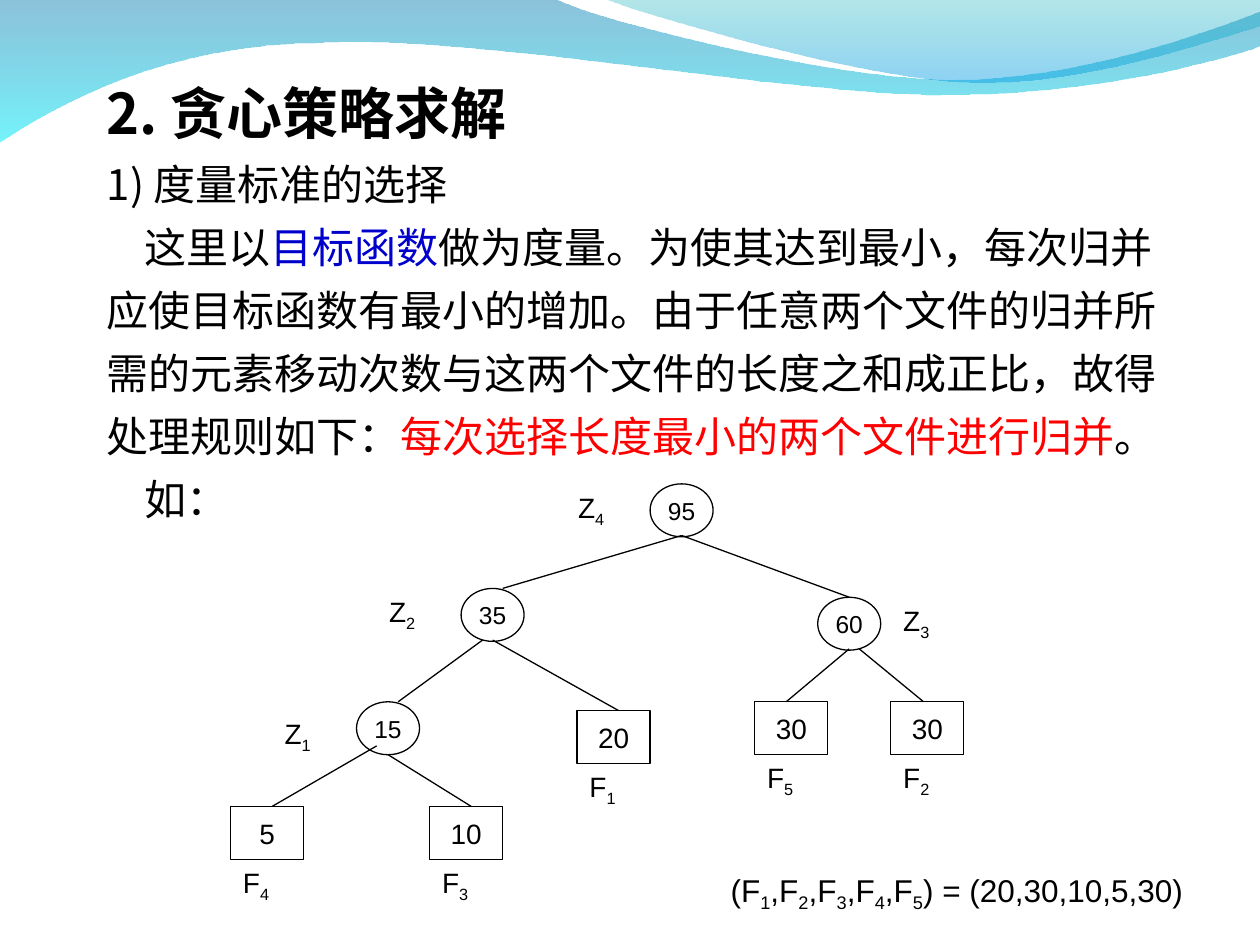
from lxml import etree
from pptx import Presentation
from pptx.dml.color import RGBColor
from pptx.enum import shapes, text
from pptx.oxml.ns import qn
from pptx.util import Inches, Pt

COLORS = {
    "black": "000000", "white": "FFFFFF", "blue": "0000CC", "red": "FF0000",
    "wave_top": "0079AF", "wave_bottom": "00EBF8",
    "crest_top": "00ADB6", "crest_bottom": "009BE5",
}
CJK = "Noto Sans CJK SC"
LATIN = "Arial"

# Outlines: one point is a straight step, three points are a Bezier curve.
WAVE = [
    [(0, -0.01)], [(4.4, -0.01)],
    [(4.76, 0.17), (6.64, 0.63), (7.58, 0.63)],
    [(8.53, 0.63), (9.58, 0.26), (10, 0.09)],
    [(10.01, 0.36)],
    [(9.83, 0.44), (8.7, 0.76), (7.46, 0.75)],
    [(6.22, 0.75), (3.82, 0.28), (2.57, 0.34)],
    [(1.29, 0.35), (0.46, 0.83), (-0.01, 1.13)],
]
CREST = [
    [(4.79, -0.01)],
    [(5.09, 0.11), (6.82, 0.62), (7.69, 0.65)],
    [(8.56, 0.69), (9.61, 0.32), (10, 0.21)],
    [(10, 0)],
]

# Value, left, top, label, label left, label top
MERGES = [
    ("95", 5.16, 3.84, "Z_4", 4.49, 3.84),
    ("35", 3.66, 4.67, "Z_2", 2.99, 4.67),
    ("60", 6.49, 4.74, "Z_3", 7.07, 4.74),
    ("15", 2.83, 5.57, "Z_1", 2.16, 5.64),
]
# Value, left, top, label
FILES = [
    ("5", 1.83, 6.4, "F_4"),
    ("10", 3.41, 6.4, "F_3"),
    ("20", 4.58, 5.64, "F_1"),
    ("30", 5.99, 5.57, "F_5"),
    ("30", 7.07, 5.57, "F_2"),
]
EDGES = [
    (5.41, 4.25, 3.99, 4.67), (5.41, 4.25, 6.74, 4.74),
    (3.83, 5.08, 3.16, 5.57), (3.91, 5.08, 4.91, 5.64),
    (6.74, 5.15, 6.24, 5.57), (6.82, 5.15, 7.33, 5.57),
    (2.99, 5.92, 2.16, 6.4), (3.08, 5.99, 3.74, 6.4),
]


def rgb(name):
    return RGBColor.from_string(COLORS[name])


def write(paragraph, content, size=24, font=CJK, color="black", bold=False):
    """Add text to a paragraph; the character after each "_" is a subscript."""
    first, *rest = content.split("_")
    pieces = [(first, False)]
    for part in rest:
        pieces += [(part[0], True), (part[1:], False)]
    for piece, subscript in pieces:
        if not piece:
            continue
        run = paragraph.add_run()
        run.text = piece
        run.font.size = Pt(size)
        run.font.bold = bold
        run.font.color.rgb = rgb(color)
        run.font.name = font
        properties = run.font._element
        etree.SubElement(properties, qn("a:ea")).set("typeface", font)
        if subscript:
            properties.set("baseline", "-25000")


def bend(shape, steps):
    """Turn the straight steps of a freeform that have three points into curves."""
    lines = list(shape._element.iter(qn("a:lnTo")))
    for line, step in zip(lines, steps):
        if len(step) == 1:
            continue
        curve = etree.Element(qn("a:cubicBezTo"))
        for x, y in step:
            point = etree.SubElement(curve, qn("a:pt"))
            point.set("x", str(Inches(x) - shape.left))
            point.set("y", str(Inches(y) - shape.top))
        line.getparent().replace(line, curve)


class SlideBuilder:
    """Holds the style and the current slide."""

    line_width = Pt(0.75)

    def __init__(self, slide):
        self.slide = slide

    def wave(self, outline, stops):
        """Add a translucent band; stops are (color, opacity %)."""
        start, *corners = [tuple(map(Inches, step[-1])) for step in outline]
        builder = self.slide.shapes.build_freeform(*start, scale=1.0)
        builder.add_line_segments(corners, close=True)
        shape = builder.convert_to_shape()
        bend(shape, outline[1:])
        shape.shadow.inherit = False
        shape.line.fill.background()
        shape.fill.gradient()
        shape.fill.gradient_angle = 270
        for stop, position, (color, opacity) in zip(shape.fill.gradient_stops, (0, 1), stops):
            stop.position = position
            stop.color.rgb = rgb(color)
            rgb_element = stop._gs.find(qn("a:srgbClr"))
            etree.SubElement(rgb_element, qn("a:alpha")).set("val", str(opacity * 1000))

    def text_box(self, left, top, width, height):
        box = self.slide.shapes.add_textbox(*map(Inches, (left, top, width, height)))
        box.text_frame.word_wrap = True
        return box.text_frame

    def body(self, heading, paragraphs, left, top, width, height):
        """Each paragraph is a first-line indent and a list of (text, color)."""
        frame = self.text_box(left, top, width, height)
        paragraph = frame.paragraphs[0]
        paragraph.line_spacing = Pt(48)
        write(paragraph, heading, size=32, bold=True)
        for indent, pieces in paragraphs:
            paragraph = frame.add_paragraph()
            paragraph.line_spacing = Pt(36)
            paragraph._p.get_or_add_pPr().set("indent", str(Inches(indent)))
            for content, color in pieces:
                write(paragraph, content, color=color)

    def label(self, content, left, top, width=0.58, height=0.41, size=16, inset=0.05):
        frame = self.text_box(left, top, width, height)
        frame.margin_top = Inches(inset)
        write(frame.paragraphs[0], content, size=size, font=LATIN)

    def node(self, kind, value, left, top, width, size):
        shape = self.slide.shapes.add_shape(kind, *map(Inches, (left, top, width, 0.42)))
        shape.shadow.inherit = False
        shape.fill.solid()
        shape.fill.fore_color.rgb = rgb("white")
        shape.line.color.rgb = rgb("black")
        shape.line.width = self.line_width
        frame = shape.text_frame
        frame.word_wrap = False
        frame.vertical_anchor = text.MSO_ANCHOR.MIDDLE
        frame.paragraphs[0].alignment = text.PP_ALIGN.CENTER
        write(frame.paragraphs[0], value, size=size, font=LATIN)

    def edge(self, *ends):
        line = self.slide.shapes.add_connector(
            shapes.MSO_CONNECTOR.STRAIGHT, *map(Inches, ends))
        line.line.color.rgb = rgb("black")
        line.line.width = self.line_width
        etree.SubElement(line._element.spPr, qn("a:effectLst"))


def main():
    presentation = Presentation()
    presentation.slide_width, presentation.slide_height = Inches(10), Inches(7.5)
    blank_layout = presentation.slide_layouts[6]
    builder = SlideBuilder(presentation.slides.add_slide(blank_layout))

    builder.wave(WAVE, [("wave_top", 45), ("wave_bottom", 55)])
    builder.wave(CREST, [("crest_top", 30), ("crest_bottom", 45)])
    builder.body("2. 贪心策略求解", [
        (0, [("1) 度量标准的选择", "black")]),
        (0.3, [
            ("这里以", "black"),
            ("目标函数", "blue"),
            ("做为度量。为使其达到最小，每次归并应使目标函数有最小的增加。"
             "由于任意两个文件的归并所需的元素移动次数与这两个文件的长度之和成正比，"
             "故得处理规则如下：", "black"),
            ("每次选择长度最小的两个文件进行归并", "red"),
            ("。", "black"),
        ]),
        (0.3, [("如：", "black")]),
    ], 0.75, 0.44, 8.66, 4.64)

    for value, left, top, name, name_left, name_top in MERGES:
        builder.node(shapes.MSO_SHAPE.OVAL, value, left, top, 0.5, 14)
        builder.label(name, name_left, name_top)
    for value, left, top, name in FILES:
        builder.node(shapes.MSO_SHAPE.RECTANGLE, value, left, top, 0.58, 16)
        builder.label(name, left, top + 0.42)
    for ends in EDGES:
        builder.edge(*ends)
    builder.label("(F_1,F_2,F_3,F_4,F_5) = (20,30,10,5,30)", 5.7, 6.41,
                  width=4.15, height=0.9, size=18, inset=0.5)

    presentation.save("out.pptx")


if __name__ == "__main__":
    main()
